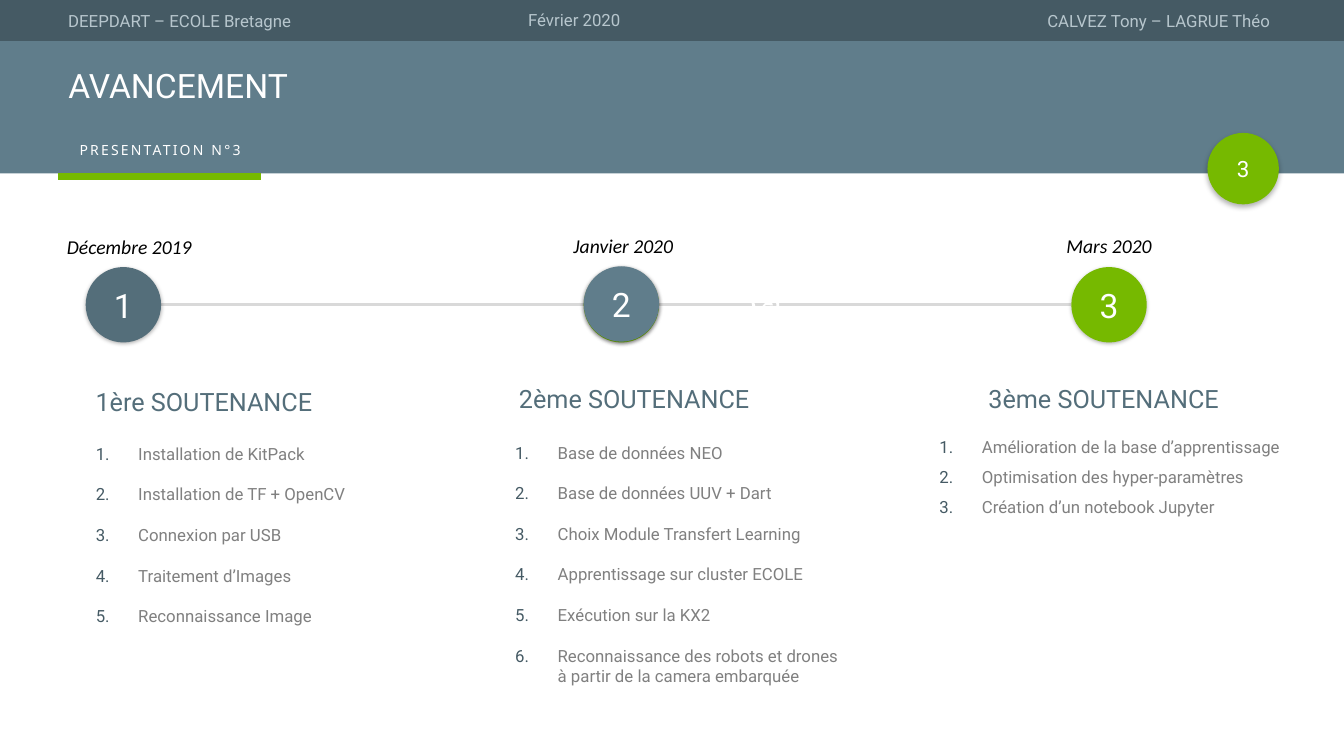
"""Build the project progress slide with its three-stage timeline."""
from lxml.etree import SubElement
from pptx import Presentation
from pptx.dml.color import RGBColor
from pptx.enum.shapes import MSO_CONNECTOR, MSO_SHAPE
from pptx.enum.text import MSO_ANCHOR, MSO_AUTO_SIZE, PP_ALIGN
from pptx.oxml.ns import qn
from pptx.util import Cm, Pt

SLATE, DARK, DEEP, GREEN = "607D8B", "455A64", "546E7A", "76B900"
PALE, WHITE, GREY, SILVER = "B7C6CD", "FFFFFF", "808080", "D9D9D9"
LEFT, CENTER, RIGHT = PP_ALIGN.LEFT, PP_ALIGN.CENTER, PP_ALIGN.RIGHT


def add_span(para, text, size, colour, font="Roboto"):
    span = para.add_run()
    span.text = text
    span.font.size = Pt(size)
    span.font.name = font
    span.font.bold = False
    span.font.color.rgb = RGBColor.from_string(colour)
    return span


def paint(shape, colour):
    shape.fill.solid()
    shape.fill.fore_color.rgb = RGBColor.from_string(colour)
    shape.line.fill.background()
    shape.shadow.inherit = False


deck = Presentation()
deck.slide_width, deck.slide_height = Cm(33.87), Cm(19.05)
page = deck.slides.add_slide(deck.slide_layouts[4])
shapes = page.shapes

for top, height, colour in [(0, 1.04, DARK), (1.04, 3.33, SLATE)]:
    band = shapes.add_shape(MSO_SHAPE.RECTANGLE, 0, Cm(top), deck.slide_width, Cm(height))
    paint(band, colour)

for start, end, height, colour, width in [
    (1.47, 6.58, 4.45, GREEN, 4.5),
    (2.16, 27, 7.68, SILVER, 2),
]:
    rule = shapes.add_connector(
        MSO_CONNECTOR.STRAIGHT, Cm(start), Cm(height), Cm(end), Cm(height))
    rule.line.color.rgb = RGBColor.from_string(colour)
    rule.line.width = Pt(width)
    SubElement(rule._element.spPr, qn("a:effectLst"))

title = shapes.title
shapes._spTree.append(title._element)
title.left, title.top, title.width, title.height = Cm(1.47), Cm(1.6), Cm(31.19), Cm(1.19)
title.text_frame.vertical_anchor = MSO_ANCHOR.MIDDLE
title.text_frame.auto_size = MSO_AUTO_SIZE.NONE
para = title.text_frame.paragraphs[0]
para.alignment = LEFT
para.line_spacing = 0.9
add_span(para, "AVANCEMENT", 24, WHITE)

for left, top, size, colour, number, points, blur, distance in [
    (30.43, 3.35, 1.8, GREEN, "3", 16, 4, 2),
    (2.16, 6.73, 1.9, DEEP, "1", 24, 3, 1),
    (14.71, 6.73, 1.9, GREEN, "", 24, 3, 1),
    (14.71, 6.71, 1.9, SLATE, "2", 24, 3, 1),
    (27, 6.73, 1.9, GREEN, "3", 24, 3, 1),
]:
    disc = shapes.add_shape(MSO_SHAPE.OVAL, Cm(left), Cm(top), Cm(size), Cm(size))
    paint(disc, colour)
    effects = disc._element.spPr.find(qn("a:effectLst"))
    shadow = SubElement(effects, qn("a:outerShdw"), blurRad=str(Pt(blur)),
                        dist=str(Pt(distance)), dir="5400000", rotWithShape="0")
    black = SubElement(shadow, qn("a:srgbClr"), val="000000")
    SubElement(black, qn("a:alpha"), val="30000")
    if number:
        disc.text_frame.vertical_anchor = MSO_ANCHOR.MIDDLE
        para = disc.text_frame.paragraphs[0]
        para.alignment = CENTER
        add_span(para, number, points, WHITE)

header = (14.12, 0.76, LEFT, 12, PALE, "Roboto")
header_right = (14.12, 0.76, RIGHT, 12, PALE, "Roboto")
subtitle = (5.13, 0.69, CENTER, 10, WHITE, "Noto Sans")
date = (5.36, 0.86, CENTER, 14, "000000", "Calibri")
heading = (6.6, 1.02, LEFT, 18, DEEP, "Roboto")
for text, left, top, style in [
    ("DEEPDART – ECOLE Bretagne", 1.47, 0.15, header),
    ("Février 2020", 13.06, 0.13, header),
    ("CALVEZ Tony – LAGRUE Théo", 18.14, 0.15, header_right),
    ("PRESENTATION N°3", 1.47, 3.43, subtitle),
    ("Décembre 2019", 0.58, 5.79, date),
    ("Janvier 2020", 13.03, 5.77, date),
    ("Mars 2020", 25.27, 5.77, date),
    ("1ère SOUTENANCE", 2.16, 9.6, heading),
    ("2ème SOUTENANCE", 12.83, 9.53, heading),
    ("3ème SOUTENANCE", 24.66, 9.53, heading),
]:
    width, height, alignment, size, colour, font = style
    box = shapes.add_textbox(Cm(left), Cm(top), Cm(width), Cm(height))
    box.text_frame.word_wrap = True
    para = box.text_frame.paragraphs[0]
    para.alignment = alignment
    span = add_span(para, text, size, colour, font)
    span.font.italic = style is date
    if style is subtitle:
        span.font._element.set("spc", "160")

bodies = [body for body in page.placeholders if body.placeholder_format.idx > 0]
task_lists = [
    (2.16, 11.05, 7.54, 5.38, 1, 14.6, [
        "Installation de KitPack", "Installation de TF + OpenCV", "Connexion par USB",
        "Traitement d’Images", "Reconnaissance Image"]),
    (12.73, 11.02, 8.66, 7.44, 1, 14.6, [
        "Base de données NEO", "Base de données UUV + Dart",
        "Choix Module Transfert Learning", "Apprentissage sur cluster ECOLE",
        "Exécution sur la KX2",
        "Reconnaissance des robots et drones à partir de la camera embarquée"]),
    (23.42, 10.62, 9.35, 2.49, 1.5, 0, [
        "Amélioration de la base d’apprentissage", "Optimisation des hyper-paramètres",
        "Création d’un notebook Jupyter"]),
]
for body, (left, top, width, height, spacing, gap, tasks) in zip(bodies, task_lists):
    shapes._spTree.append(body._element)
    body.left, body.top, body.width, body.height = Cm(left), Cm(top), Cm(width), Cm(height)
    frame = body.text_frame
    frame.auto_size = MSO_AUTO_SIZE.NONE
    frame.vertical_anchor = MSO_ANCHOR.TOP
    for index, task in enumerate(tasks):
        para = frame.add_paragraph() if index else frame.paragraphs[0]
        para.alignment = LEFT
        para.line_spacing = float(spacing)
        para.space_before, para.space_after = Pt(0), Pt(gap)
        add_span(para, task, 12, GREY)
        properties = para._p.get_or_add_pPr()
        properties.set("marL", str(Cm(1.07)))
        properties.set("indent", str(-Cm(1.07)))
        bullet_colour = SubElement(properties, qn("a:buClr"))
        SubElement(bullet_colour, qn("a:srgbClr"), val=DARK)
        SubElement(properties, qn("a:buFont"), typeface="Roboto")
        SubElement(properties, qn("a:buAutoNum"), type="arabicPeriod")
for spare in bodies[len(task_lists):]:
    shapes._spTree.remove(spare._element)

clock_ring = [
    (748, 311), (754, 316), (761, 316), (761, 321), (768, 314), (762, 307), (761, 313),
    (755, 313), (750, 309), (747, 302), (751, 294), (759, 291), (767, 295), (770, 301),
    (768, 307), (770, 310), (772, 301), (769, 293), (759, 287), (749, 291), (744, 301)]
clock_hands = [(755, 308), (760, 303), (759, 295), (757, 295), (758, 302), (753, 307)]
outline = shapes.build_freeform(*clock_ring[0], scale=float(Cm(0.0254)))
outline.add_line_segments(clock_ring[1:])
outline.move_to(*clock_hands[0])
outline.add_line_segments(clock_hands[1:])
clock = outline.convert_to_shape()
clock.left, clock.top, clock.rotation = Cm(18.98), Cm(7.22), 228.2
paint(clock, WHITE)

deck.save("out.pptx")
